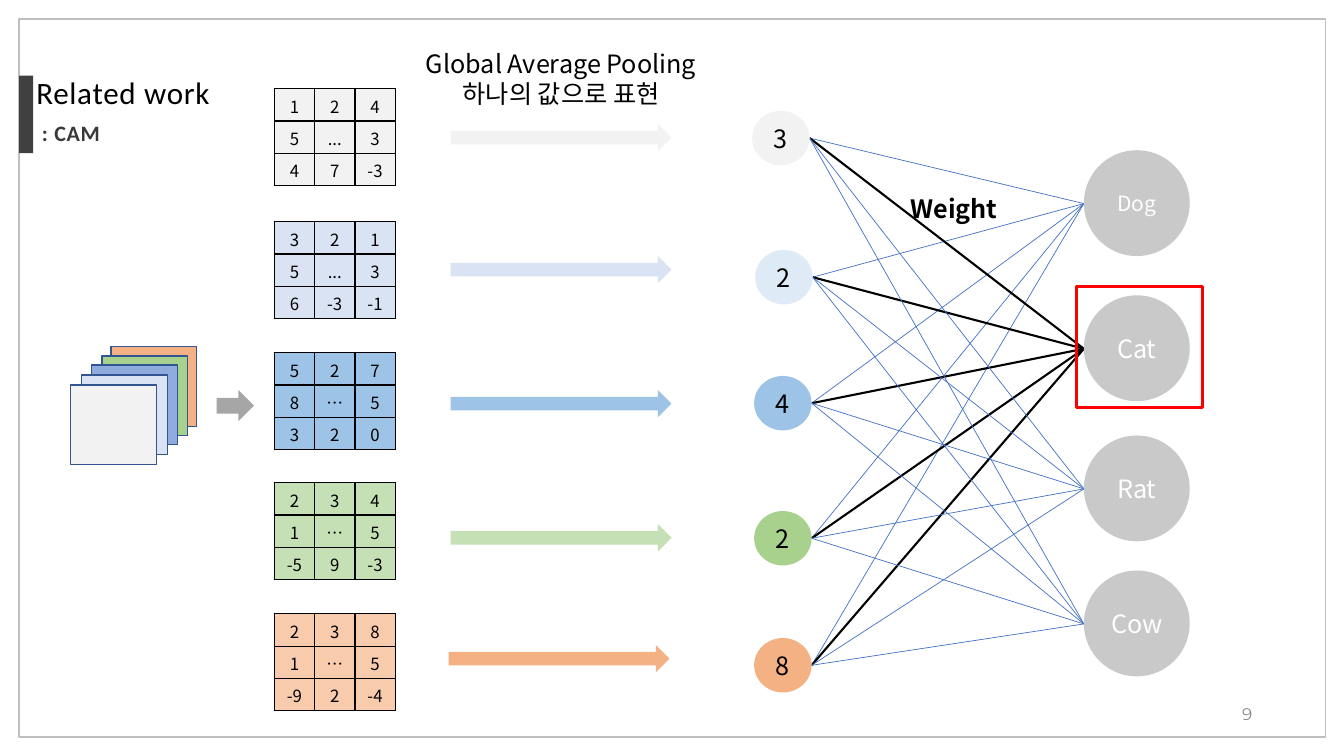
from lxml import etree
from pptx import Presentation
from pptx.dml.color import RGBColor
from pptx.enum.shapes import MSO_CONNECTOR, MSO_SHAPE
from pptx.enum.text import MSO_ANCHOR, PP_ALIGN
from pptx.oxml.ns import qn
from pptx.util import Pt

PX = 9144  # 100 px to the inch
RECT, OVAL, ARROW = MSO_SHAPE.RECTANGLE, MSO_SHAPE.OVAL, MSO_SHAPE.RIGHT_ARROW
STRAIGHT = MSO_CONNECTOR.STRAIGHT
LEFT, CENTER, RIGHT = PP_ALIGN.LEFT, PP_ALIGN.CENTER, PP_ALIGN.RIGHT
TOP, MIDDLE = MSO_ANCHOR.TOP, MSO_ANCHOR.MIDDLE
SANS = "Noto Sans CJK KR"
BLACK, WHITE = "000000", "FFFFFF"
rgb = RGBColor.from_string

prs = Presentation()
prs.slide_width, prs.slide_height = 1333 * PX, 750 * PX
s = prs.slides.add_slide(prs.slide_layouts[5])


def add_shape(kind, x, y, w, h, fill=None, line=None, width=1):
    sp = s.shapes.add_shape(kind, x * PX, y * PX, w * PX, h * PX)
    sp.shadow.inherit = False
    if fill:
        sp.fill.solid()
        sp.fill.fore_color.rgb = rgb(fill)
    else:
        sp.fill.background()
    if line:
        sp.line.color.rgb = rgb(line)
        sp.line.width = Pt(width)
    else:
        sp.line.fill.background()
    return sp


def write(tf, text, size, color=BLACK, align=CENTER, bold=False, font=SANS):
    tf.text = text
    for p in tf.paragraphs:
        p.alignment = align
        p.font.size, p.font.bold, p.font.name = Pt(size), bold, font
        p.font.color.rgb = rgb(color)
        props = p._p.pPr.find(qn("a:defRPr"))
        etree.SubElement(props, qn("a:ea"), typeface=font)


# Frame and title
add_shape(RECT, 19, 19, 1296, 712, line="BFBFBF")
add_shape(RECT, 19, 75, 14, 77, "404040")
title = s.shapes.title
title.left, title.top, title.width, title.height = 26 * PX, 75 * PX, 299 * PX, 77 * PX
tf = title.text_frame
tf.word_wrap, tf.vertical_anchor = True, TOP
write(tf, "Related work\n : CAM", 22.2, align=LEFT, font="Calibri")
for p in tf.paragraphs:
    p.line_spacing, p.space_before = 0.8, Pt(10)
    p.runs[0]._r.get_or_add_rPr().set("spc", "50")
subtitle = tf.paragraphs[1].font
subtitle.size, subtitle.bold = Pt(15.7), True
subtitle.color.rgb = rgb("3B3838")

# Stack of feature maps
for x, y, color in [(110, 344, "F4B183"), (101, 353, "A9D18E"), (91, 362, "8FAADC"),
                    (81, 372, "DAE3F3"), (70, 382, "F2F2F2")]:
    add_shape(RECT, x, y, 85, 79, color, "325491")
add_shape(ARROW, 215, 387, 37, 31, "A6A6A6")

# Feature map values, each pooled along an arrow
COL, ROW = 40, 32
feature_maps = [
    (88, "F2F2F2", ["1 2 4", "5 ... 3", "4 7 -3"], 447, 123, "F2F2F2"),
    (220, "DAE3F3", ["3 2 1", "5 ... 3", "6 -3 -1"], 447, 254, "DAE3F3"),
    (350, "9DC3E6", ["5 2 7", "8 … 5", "3 2 0"], 447, 387, "9DC3E6"),
    (479, "C5E0B4", ["2 3 4", "1 … 5", "-5 9 -3"], 447, 520, "C5E0B4"),
    (609, "F8CBAD", ["2 3 8", "1 … 5", "-9 2 -4"], 445, 640, "F4B183"),
]
for top, color, rows, arrow_x, arrow_y, arrow_color in feature_maps:
    table = s.shapes.add_table(3, 3, 272 * PX, top * PX, 3 * COL * PX, 3 * ROW * PX).table
    table.first_row = table.horz_banding = False
    for i, row in enumerate(rows):
        table.columns[i].width, table.rows[i].height = COL * PX, ROW * PX
        for j, value in enumerate(row.split()):
            cell = table.cell(i, j)
            cell.margin_left = cell.margin_right = 0
            cell.margin_top, cell.margin_bottom = 3 * PX, 1 * PX
            cell.vertical_anchor = MIDDLE
            write(cell.text_frame, value, 12)
            for side in ("a:lnL", "a:lnR", "a:lnT", "a:lnB"):
                ln = etree.SubElement(cell._tc.get_or_add_tcPr(), qn(side), w=str(Pt(1)))
                solid = etree.SubElement(ln, qn("a:solidFill"))
                etree.SubElement(solid, qn("a:srgbClr"), val=BLACK)
            cell.fill.solid()
            cell.fill.fore_color.rgb = rgb(color)
    add_shape(ARROW, arrow_x, arrow_y, 219, 27, arrow_color)

# Weights from each pooled value to each class
pooled = [("3", 746, 110, "F2F2F2"), ("2", 749, 248, "DEEBF7"), ("4", 748, 373, "9DC3E6"),
          ("2", 748, 507, "A9D18E"), ("8", 748, 633, "F4B183")]
classes = [("Dog", 149, 15), ("Cat", 293, 18), ("Rat", 432, 18), ("Cow", 566, 18)]
CLASS_X, CLASS_SIZE = 1075, 105
for name, class_y, _ in classes:
    color, width = (BLACK, 1.5) if name == "Cat" else ("4472C4", 0.5)
    for _, x, y, _ in pooled:
        weight = s.shapes.add_connector(STRAIGHT, (x + 57) * PX, (y + 27) * PX,
                                        CLASS_X * PX, (class_y + 53) * PX)
        weight.line.color.rgb = rgb(color)
        weight.line.width = Pt(width)
        etree.SubElement(weight._element.spPr, qn("a:effectLst"))

# Pooled values and classes
circles = [(x, y, 57, 54, fill, value, 18, BLACK) for value, x, y, fill in pooled]
circles += [(CLASS_X, y, CLASS_SIZE, CLASS_SIZE, "C9C9C9", name, size, WHITE)
            for name, y, size in classes]
for x, y, w, h, fill, text, size, color in circles:
    tf = add_shape(OVAL, x, y, w, h, fill).text_frame
    tf.margin_left = tf.margin_right = tf.margin_top = tf.margin_bottom = 0
    tf.word_wrap, tf.vertical_anchor = False, MIDDLE
    write(tf, text, size, color)
add_shape(RECT, 1068, 284, 125, 120, line="FF0000", width=2.25)

# Labels and page number, with side margins that leave each line room
labels = [
    (412, 43, 289, 71, 5, 5, "Global Average Pooling\n하나의 값으로 표현", 18, BLACK, CENTER),
    (894, 187, 116, 40, 9, 0, "Weight", 18, BLACK, LEFT, True),
    (942, 693, 300, 28, 0, 0, "9", 12, "898989", RIGHT, False, "Montserrat"),
]
for x, y, w, h, margin_left, margin_right, text, *style in labels:
    tf = s.shapes.add_textbox(x * PX, y * PX, w * PX, h * PX).text_frame
    tf.margin_left, tf.margin_right = margin_left * PX, margin_right * PX
    tf.word_wrap = True
    write(tf, text, *style)

prs.save("out.pptx")
